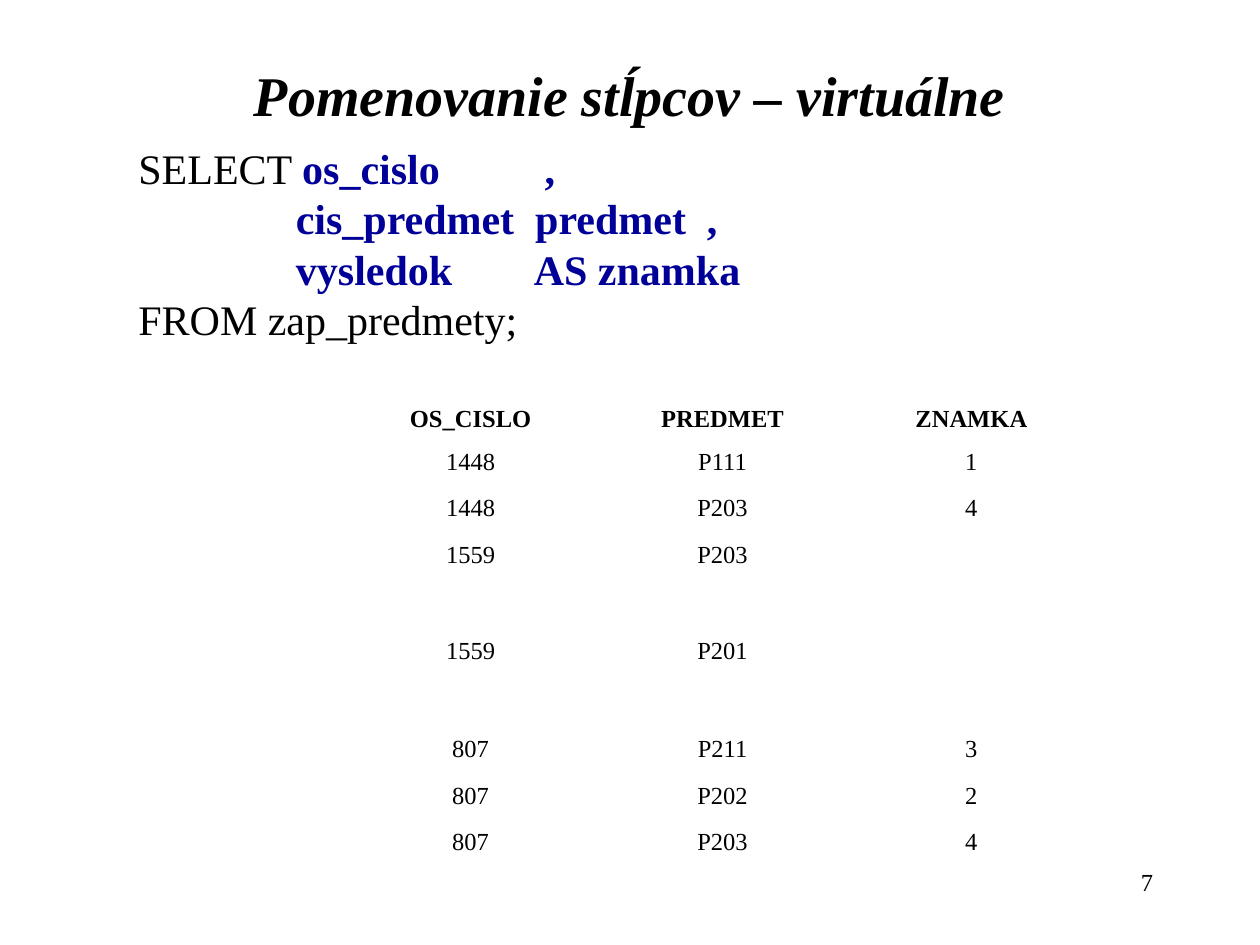
from dataclasses import dataclass

from pptx import Presentation
from pptx.dml.color import RGBColor
from pptx.enum.text import MSO_ANCHOR, MSO_AUTO_SIZE, PP_ALIGN
from pptx.util import Inches, Pt


@dataclass(frozen=True)
class Theme:
    face: str = "Times New Roman"
    ink: RGBColor = RGBColor(0, 0, 0)
    accent: RGBColor = RGBColor(0, 0, 0x99)
    title: int = 32
    code: int = 24
    small: int = 14


THEME = Theme()
TITLE = "Pomenovanie stĺpcov – virtuálne"
QUERY = [
    [("SELECT ", False), ("os_cislo          ,", True)],
    [("               cis_predmet  predmet  ,", True)],
    [("               ", False), ("vysledok        AS znamka", True)],
    [("FROM zap_predmety;", False)],
]
RESULT = [
    ("OS_CISLO", "PREDMET", "ZNAMKA"),
    ("1448", "P111", "1"),
    ("1448", "P203", "4"),
    ("1559", "P203", ""),
    ("1559", "P201", ""),
    ("807", "P211", "3"),
    ("807", "P202", "2"),
    ("807", "P203", "4"),
]
COLUMN_WIDTHS = (1.97, 2.03, 1.92)
ROW_HEIGHTS = (0.34, 0.37, 0.37, 0.76, 0.78, 0.37, 0.37, 0.37)


def apply_format(target, values):
    for attribute, value in values.items():
        setattr(target, attribute, value)


def add_words(paragraph, words, size, color=THEME.ink, **emphasis):
    run = paragraph.add_run()
    run.text = words
    apply_format(run.font, {"name": THEME.face, "size": Pt(size), "bold": False, **emphasis})
    run.font.color.rgb = color


def set_title(slide, words):
    heading = slide.shapes.title
    bounds = {"left": 0.75, "top": 0.25, "width": 8.5, "height": 1}
    apply_format(heading, {side: Inches(length) for side, length in bounds.items()})
    frame = heading.text_frame
    apply_format(frame, {"vertical_anchor": MSO_ANCHOR.MIDDLE,
                         "auto_size": MSO_AUTO_SIZE.NONE, "word_wrap": True})
    frame.paragraphs[0].alignment = PP_ALIGN.CENTER
    add_words(frame.paragraphs[0], words, THEME.title, bold=True, italic=True)


def add_text_frame(slide, bounds, **values):
    frame = slide.shapes.add_textbox(*map(Inches, bounds)).text_frame
    apply_format(frame, values)
    return frame


def add_query(slide, lines):
    frame = add_text_frame(slide, (1, 1.08, 4.99, 1.7), word_wrap=False,
                           vertical_anchor=MSO_ANCHOR.MIDDLE,
                           auto_size=MSO_AUTO_SIZE.SHAPE_TO_FIT_TEXT)
    for index, line in enumerate(lines):
        paragraph = frame.add_paragraph() if index else frame.paragraphs[0]
        for words, highlighted in line:
            color = THEME.accent if highlighted else THEME.ink
            add_words(paragraph, words, THEME.code, color, bold=highlighted)


def add_result(slide, records):
    bounds = (2.75, 3.17, sum(COLUMN_WIDTHS), sum(ROW_HEIGHTS))
    result = slide.shapes.add_table(len(records), len(COLUMN_WIDTHS),
                                    *map(Inches, bounds)).table
    apply_format(result, {"first_row": False, "horz_banding": False})
    for column, width in zip(result.columns, COLUMN_WIDTHS):
        column.width = Inches(width)
    for index, (row, height, record) in enumerate(zip(result.rows, ROW_HEIGHTS, records)):
        row.height = Inches(height)
        for cell, value in zip(row.cells, record):
            cell.fill.background()
            if value:
                paragraph = cell.text_frame.paragraphs[0]
                paragraph.alignment = PP_ALIGN.CENTER
                add_words(paragraph, value, THEME.small, bold=index == 0)


def add_page_number(slide, number):
    frame = add_text_frame(slide, (7.17, 6.83, 2.08, 0.5), word_wrap=True)
    frame.paragraphs[0].alignment = PP_ALIGN.RIGHT
    add_words(frame.paragraphs[0], number, THEME.small)


def main():
    deck = Presentation()
    apply_format(deck, {"slide_width": Inches(10), "slide_height": Inches(7.5)})
    slide = deck.slides.add_slide(deck.slide_layouts.get_by_name("Title Only"))
    set_title(slide, TITLE)
    add_query(slide, QUERY)
    add_result(slide, RESULT)
    add_page_number(slide, "7")
    deck.save("out.pptx")


if __name__ == "__main__":
    main()
